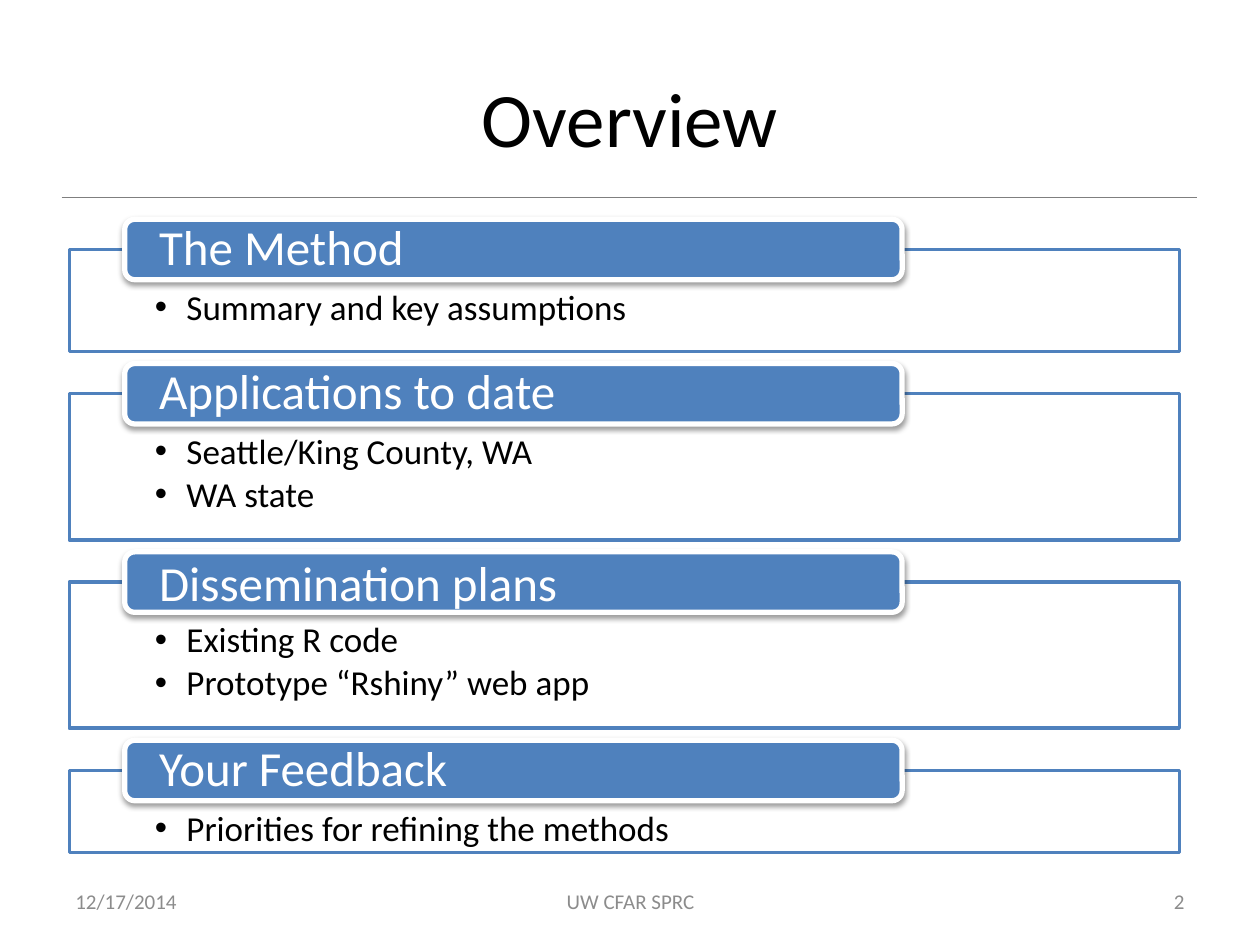
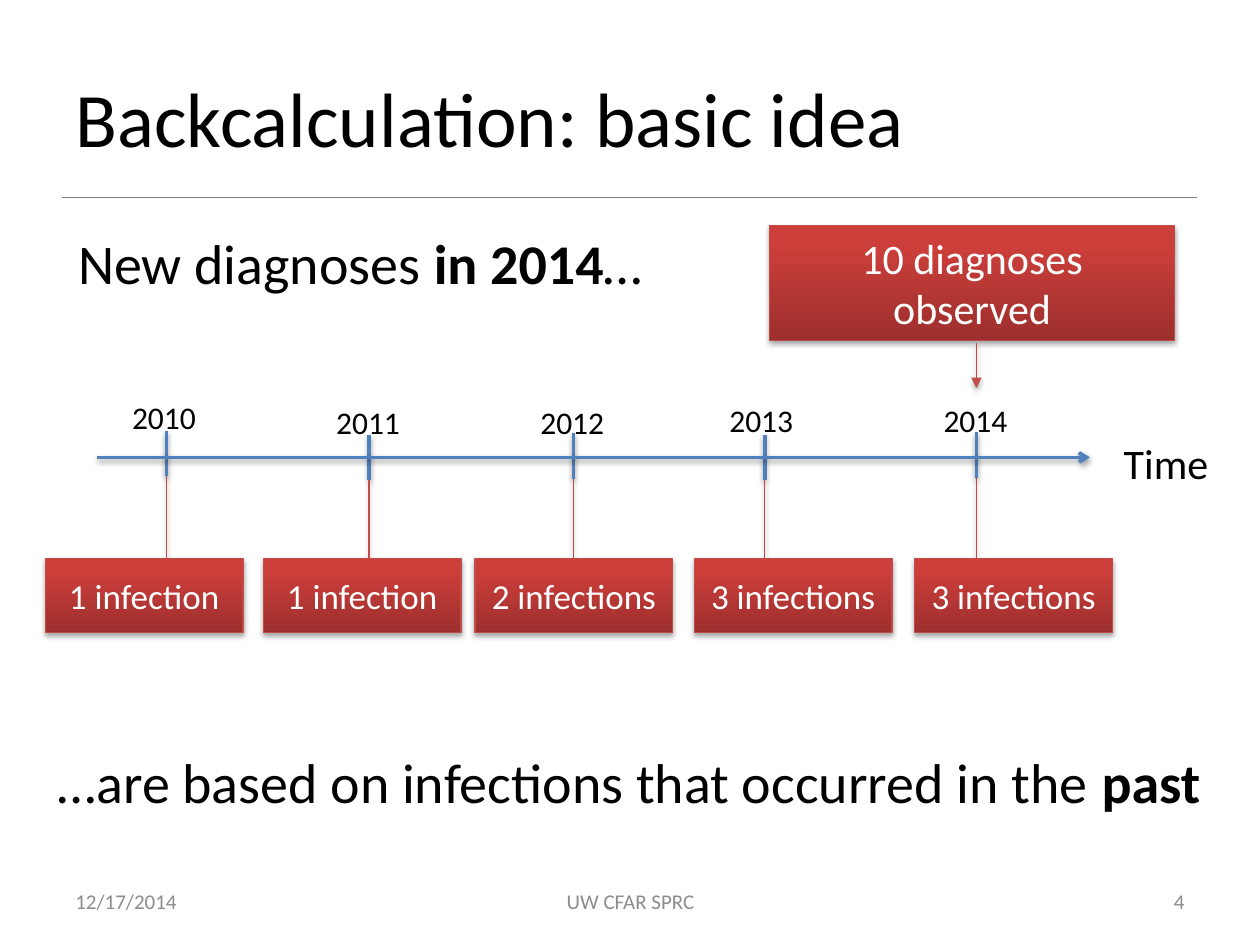
"""Build the overview and backcalculation slides."""
from dataclasses import dataclass
from typing import Any

from lxml import etree
from pptx import Presentation
from pptx import util as u
from pptx.dml.color import RGBColor
from pptx.enum import shapes, text
from pptx.oxml.ns import qn

COLS, ROWS = 100, 75
CELL = u.Inches(0.1)
FONT = "Calibri"
BLACK, WHITE, GREY, RULE = "000000", "FFFFFF", "8C8C8C", "7F7F7F"
BLUE, RED_EDGE, RED_DARK, RED = "4F81BD", "BF4C48", "9C2F2D", "CB3E3A"
LEFT, CENTER, RIGHT = text.PP_ALIGN.LEFT, text.PP_ALIGN.CENTER, text.PP_ALIGN.RIGHT
MIDDLE, TOP = text.MSO_ANCHOR.MIDDLE, text.MSO_ANCHOR.TOP
SHAPE = shapes.MSO_SHAPE


@dataclass(frozen=True)
class Box:
    """A rectangle in grid columns and rows."""
    x: float
    y: float
    w: float
    h: float

    def emu(self) -> list[int]:
        """Return left, top, width and height as lengths."""
        return [cells(v) for v in (self.x, self.y, self.w, self.h)]


@dataclass(frozen=True)
class Topic:
    """A headed panel with a list."""
    heading: str
    items: tuple[str, ...]
    rows: float
    spacing: float = 0.9


@dataclass(frozen=True)
class Year:
    """A tick on the time axis with its label and infection box."""
    label: str
    tick: tuple[float, float]
    label_at: tuple[float, float]
    box_x: float
    infections: str


@dataclass(frozen=True)
class Footer:
    """A footer field."""
    words: str
    box: Box
    align: Any


TOPICS = (
    Topic("The Method", ("Summary and key assumptions",), 8.1),
    Topic("Applications to date", ("Seattle/King County, WA", "WA state"), 11.6),
    Topic("Dissemination plans", ("Existing R code", "Prototype “Rshiny” web app"), 11.6, 1.0),
    Topic("Your Feedback", ("Priorities for refining the methods",), 6.5),
)
YEARS = (
    Year("2010", (13.2, 34.2), (9.5, 31.1), 3.6, "1 infection"),
    Year("2011", (29.3, 34.5), (25.7, 31.5), 20.9, "1 infection"),
    Year("2012", (45.5, 34.4), (41.9, 31.5), 37.7, "2 infections"),
    Year("2013", (60.7, 34.5), (56.9, 31.3), 55.1, "3 infections"),
    Year("2014", (77.5, 34.3), (73.9, 31.3), 72.6, "3 infections"),
)


def cells(n: float) -> int:
    """Convert grid cells to a length."""
    return int(n * CELL)


def rgb(color: str) -> RGBColor:
    """Convert a hex string to a colour."""
    return RGBColor.from_string(color)


def assign(obj: Any, values: dict[str, Any]) -> None:
    """Set attributes from a dict."""
    for name, value in values.items():
        setattr(obj, name, value)


def effects(sp: Any, opacity: int = 0) -> None:
    """Replace the theme shadow by none or by a soft drop shadow."""
    fx = etree.SubElement(sp._element.spPr, qn("a:effectLst"))
    if opacity:
        shadow = etree.SubElement(fx, qn("a:outerShdw"), blurRad=str(u.Pt(3.1)),
                                  dist=str(u.Pt(1.6)), dir="5400000", rotWithShape="0")
        color = etree.SubElement(shadow, qn("a:srgbClr"), val=BLACK)
        etree.SubElement(color, qn("a:alpha"), val=str(opacity * 1000))


def arrowhead(sp: Any, kind: str) -> None:
    """Add an arrowhead at the end of a line."""
    etree.SubElement(sp.line._get_or_add_ln(), qn("a:tailEnd"), type=kind)


def outline(sp: Any, color: str, width: float) -> None:
    """Set the colour and width of a line."""
    sp.line.color.rgb = rgb(color)
    sp.line.width = u.Pt(width)


def write(p: Any, words: str, size: float, color: str = BLACK, bold: bool = False) -> None:
    """Add a formatted run to a paragraph."""
    r = p.add_run()
    r.text = words
    assign(r.font, {"name": FONT, "size": u.Pt(size), "bold": bold})
    r.font.color.rgb = rgb(color)


def textbox(slide: Any, box: Box, anchor: Any = TOP, align: Any = LEFT) -> Any:
    """Add a wrapping text box and return its first paragraph."""
    tf = slide.shapes.add_textbox(*box.emu()).text_frame
    assign(tf, {"word_wrap": True, "vertical_anchor": anchor})
    p = tf.paragraphs[0]
    p.alignment = align
    return p


def line(slide: Any, start: tuple[float, float], end: tuple[float, float],
         color: str, width: float, opacity: int = 0, head: str = "") -> None:
    """Draw a straight line between two grid points."""
    points = [cells(v) for v in (*start, *end)]
    sp = slide.shapes.add_connector(shapes.MSO_CONNECTOR.STRAIGHT, *points)
    outline(sp, color, width)
    if head:
        arrowhead(sp, head)
    effects(sp, opacity)


def block(slide: Any, kind: Any, box: Box, fill: str, edge: str, width: float,
          opacity: int = 0) -> Any:
    """Add a filled and outlined shape."""
    sp = slide.shapes.add_shape(kind, *box.emu())
    sp.fill.solid()
    sp.fill.fore_color.rgb = rgb(fill)
    outline(sp, edge, width)
    effects(sp, opacity)
    return sp


def frame(prs: Any, layout: int, title: str, align: Any, number: int) -> Any:
    """Add a slide with the shared title, rule and footers."""
    slide = prs.slides.add_slide(prs.slide_layouts[layout])
    line(slide, (4.9, 15.7), (95, 15.7), RULE, 0.75)
    p = slide.shapes.title.text_frame.paragraphs[0]
    p.alignment = align
    write(p, title, 44)
    for footer in (Footer("12/17/2014", Box(5, 69.5, 23.3, 4), LEFT),
                   Footer("UW CFAR SPRC", Box(34.2, 69.5, 31.7, 4), CENTER),
                   Footer(str(number), Box(71.7, 69.5, 23.3, 4), RIGHT)):
        write(textbox(slide, footer.box, MIDDLE, footer.align), footer.words, 12, GREY)
    return slide


def panel(slide: Any, topic: Topic, y: float) -> None:
    """Draw a panel with its list and heading."""
    sp = block(slide, SHAPE.RECTANGLE, Box(5.5, y, 88.1, topic.rows), WHITE, BLUE, 2)
    tf = sp.text_frame
    assign(tf, {"vertical_anchor": TOP, "margin_left": cells(6.8), "margin_right": cells(6.8),
                "margin_top": cells(3.2), "margin_bottom": cells(1.6)})
    for i, item in enumerate(topic.items):
        p = tf.add_paragraph() if i else tf.paragraphs[0]
        assign(p, {"alignment": LEFT, "line_spacing": 0.9, "space_after": u.Pt(3)})
        ppr = p._p.get_or_add_pPr()
        ppr.set("marL", str(cells(2.5)))
        ppr.set("indent", str(-cells(2.5)))
        etree.SubElement(ppr, qn("a:buFont"), typeface="Arial")
        etree.SubElement(ppr, qn("a:buChar"), char="•")
        write(p, item, 20)
    sp = block(slide, SHAPE.ROUNDED_RECTANGLE, Box(9.9, y - 2.4, 61.7, 4.8), BLUE, WHITE, 3, 38)
    tf = sp.text_frame
    assign(tf, {"vertical_anchor": MIDDLE, "margin_left": cells(2.5), "margin_right": cells(2.5),
                "margin_top": cells(0.2), "margin_bottom": cells(0.2)})
    p = tf.paragraphs[0]
    assign(p, {"alignment": LEFT, "line_spacing": topic.spacing})
    write(p, topic.heading, 28, WHITE)


def callout(slide: Any, box: Box, words: str, size: float, target_x: float,
            ends: tuple[float, float], head: str = "") -> None:
    """Draw a red callout whose leader runs between two rows at a column."""
    sp = slide.shapes.add_shape(SHAPE.LINE_CALLOUT_1, *box.emu())
    share = (target_x - box.x) / box.w
    start, end = ((row - box.y) / box.h for row in ends)
    for i, value in enumerate((start, share, end, share)):
        sp.adjustments[i] = value
    sp.fill.gradient()
    sp.fill.gradient_angle = 90
    for stop, (color, position) in zip(sp.fill.gradient_stops, ((RED_DARK, 0), (RED, 0.8))):
        stop.color.rgb = rgb(color)
        stop.position = position
    outline(sp, RED_EDGE, 0.75)
    if head:
        arrowhead(sp, head)
    effects(sp, 35)
    tf = sp.text_frame
    tf.vertical_anchor = MIDDLE
    p = tf.paragraphs[0]
    p.alignment = CENTER
    write(p, words, size, WHITE)


def overview(prs: Any) -> None:
    """Build the overview slide."""
    slide = frame(prs, 5, "Overview", CENTER, 2)
    y, gap = 19.8, 3.35
    for topic in TOPICS:
        panel(slide, topic, y)
        y += topic.rows + gap


def backcalculation(prs: Any) -> None:
    """Build the timeline slide."""
    slide = frame(prs, 1, "Backcalculation: basic idea", LEFT, 4)
    body = slide.placeholders[1]
    assign(body, dict(zip(("left", "top", "width", "height"), Box(5.2, 17.6, 48.2, 6.8).emu())))
    p = body.text_frame.paragraphs[0]
    ppr = p._p.get_or_add_pPr()
    ppr.set("marL", "0")
    ppr.set("indent", "0")
    etree.SubElement(ppr, qn("a:buNone"))
    write(p, "New diagnoses ", 32)
    write(p, "in 2014", 32, bold=True)
    write(p, "…", 32)

    for year in YEARS:
        x, y = year.tick
        line(slide, (x, y), (x, y + 3.6), BLUE, 2, 38)
    line(slide, (7.7, 36.3), (86.5, 36.3), BLUE, 2, 38, "arrow")
    write(textbox(slide, Box(88.2, 34.2, 9.5, 3.7)), "Time", 24)
    callout(slide, Box(61.1, 17.9, 32.1, 9.1), "10 diagnoses observed", 24,
            YEARS[-1].tick[0], (27.2, 30.8), "triangle")
    for year in YEARS:
        write(textbox(slide, Box(*year.label_at, 8, 3)), year.label, 18)
        callout(slide, Box(year.box_x, 44.3, 15.7, 5.9), year.infections, 20,
                year.tick[0], (44.3, year.tick[1] + 3.6))

    p = textbox(slide, Box(3.6, 58.8, 93.5, 7.3))
    write(p, "…are based on infections that occurred in the ", 32)
    write(p, "past", 32, bold=True)


def main() -> None:
    """Build and save the presentation."""
    prs = Presentation()
    prs.slide_width, prs.slide_height = COLS * CELL, ROWS * CELL
    overview(prs)
    backcalculation(prs)
    prs.save("out.pptx")


if __name__ == "__main__":
    main()
